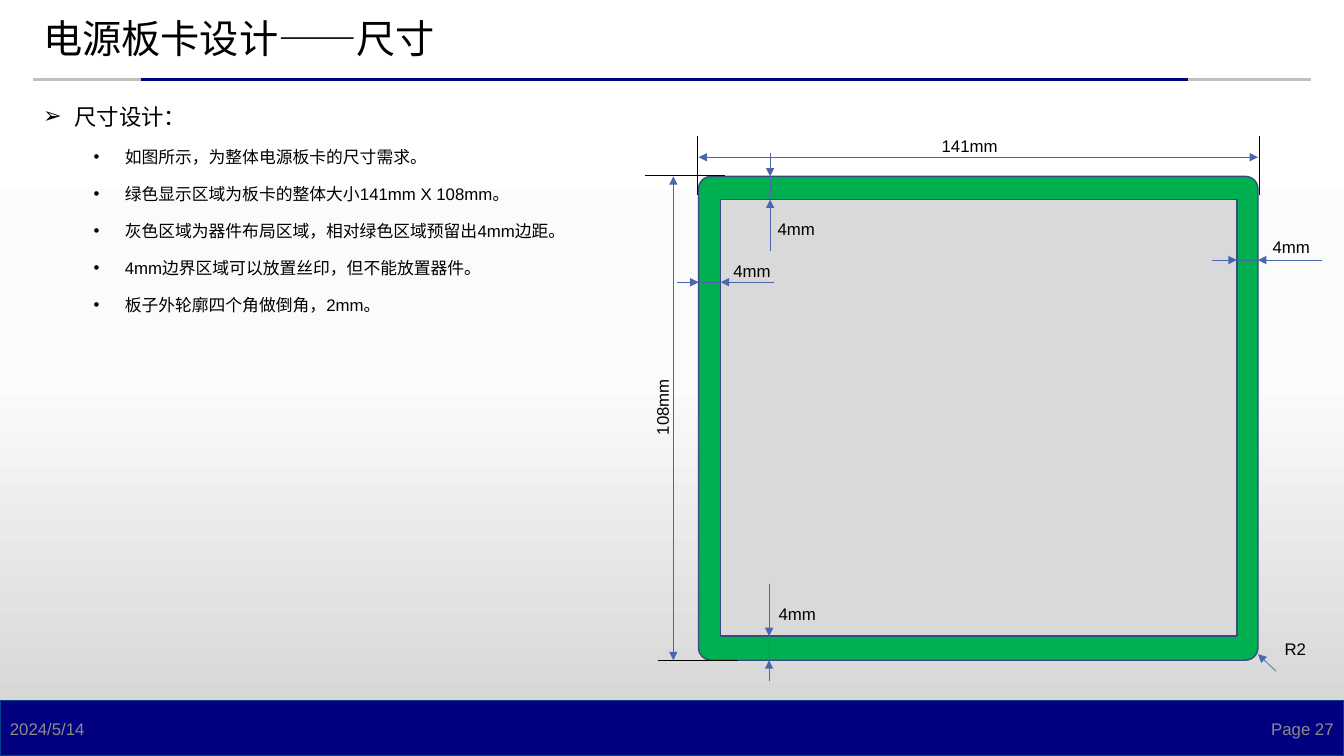
"""Build the power board dimension slide."""
from copy import deepcopy

from lxml import etree
from pptx import Presentation
from pptx.dml.color import RGBColor
from pptx.enum.shapes import MSO_CONNECTOR, MSO_SHAPE
from pptx.enum.text import MSO_ANCHOR, PP_ALIGN
from pptx.oxml.ns import qn
from pptx.util import Inches, Pt

STRAIGHT = MSO_CONNECTOR.STRAIGHT
RECTANGLE, ROUNDED = MSO_SHAPE.RECTANGLE, MSO_SHAPE.ROUNDED_RECTANGLE
LEFT, CENTER, RIGHT = PP_ALIGN.LEFT, PP_ALIGN.CENTER, PP_ALIGN.RIGHT
TOP, MIDDLE = MSO_ANCHOR.TOP, MSO_ANCHOR.MIDDLE

BLACK = RGBColor(0x00, 0x00, 0x00)
NAVY = RGBColor(0x00, 0x00, 0x80)
BAR_EDGE = RGBColor(0x00, 0x43, 0x86)
RULE_GREY = RGBColor(0xBF, 0xBF, 0xBF)
FOOTER_GREY = RGBColor(0x8C, 0x8C, 0x8C)
BOARD_GREEN = RGBColor(0x00, 0xB0, 0x50)
AREA_GREY = RGBColor(0xD9, 0xD9, 0xD9)
OUTLINE = RGBColor(0x37, 0x4B, 0x7F)
DIMENSION_BLUE = RGBColor(0x4A, 0x66, 0xAC)
BACKDROP = (RGBColor(0xFF, 0xFF, 0xFF), RGBColor(0xFB, 0xFB, 0xFB),
            RGBColor(0xD1, 0xD1, 0xD1))

FONT = "Arial"
COLUMNS, ROWS = 133.33, 75
BOARD_LEFT, BOARD_TOP, BOARD_RIGHT, BOARD_BOTTOM = 69.3, 17.5, 124.8, 65.5
AREA_LEFT, AREA_TOP, AREA_RIGHT, AREA_BOTTOM = 71.5, 19.8, 122.7, 63.1

REQUIREMENTS = (
    "如图所示，为整体电源板卡的尺寸需求。",
    "绿色显示区域为板卡的整体大小141mm X 108mm。",
    "灰色区域为器件布局区域，相对绿色区域预留出4mm边距。",
    "4mm边界区域可以放置丝印，但不能放置器件。",
    "板子外轮廓四个角做倒角，2mm。",
)


def grid(*cells):
    """Turn counts of 0.1 inch grid cells into lengths."""
    return [Inches(cell / 10) for cell in cells]


def paint_backdrop(slide):
    """Fill the background with a three-stop vertical gradient."""
    fill = slide.background.fill
    fill.gradient()
    fill.gradient_angle = 270
    stop_list = slide.element.find(".//" + qn("a:gsLst"))
    stop_list.insert(1, deepcopy(stop_list[0]))
    for index, (stop, color) in enumerate(zip(fill.gradient_stops, BACKDROP)):
        stop.position = index / 2
        stop.color.rgb = color


def add_run(paragraph, text, size, color=BLACK):
    """Append one formatted run."""
    run = paragraph.add_run()
    run.text = text
    run.font.size = Pt(size)
    run.font.name = FONT
    run.font.color.rgb = color


def add_panel(slide, kind, left, top, right, bottom, fill, edge):
    """Draw a filled panel between its four edges."""
    panel = slide.shapes.add_shape(kind, *grid(left, top, right - left, bottom - top))
    panel.shadow.inherit = False
    panel.fill.solid()
    panel.fill.fore_color.rgb = fill
    panel.line.color.rgb = edge
    panel.line.width = Pt(1)
    return panel


def add_line(slide, start, end, color=DIMENSION_BLUE, width=0.5, arrows=()):
    """Draw a straight line with triangles at the ends named in arrows."""
    line = slide.shapes.add_connector(STRAIGHT, *grid(*start, *end))
    line.line.color.rgb = color
    line.line.width = Pt(width)
    stroke = line.line._get_or_add_ln()
    for arrow in arrows:
        etree.SubElement(stroke, qn(f"a:{arrow}End"), type="triangle")
    etree.SubElement(line.element.spPr, qn("a:effectLst"))


def add_text_box(slide, left, top, width, height, anchor=TOP):
    """Add an empty wrapping text box."""
    box = slide.shapes.add_textbox(*grid(left, top, width, height))
    box.text_frame.word_wrap = True
    box.text_frame.vertical_anchor = anchor
    return box


def add_label(slide, text, left, top, rotation=0):
    """Add a centred dimension label."""
    label = add_text_box(slide, left, top, 11.6, 3)
    label.rotation = rotation
    paragraph = label.text_frame.paragraphs[0]
    paragraph.alignment = CENTER
    add_run(paragraph, text, 12)


def add_footer(slide, text, left, alignment):
    """Add one footer text over the navy bar."""
    footer = add_text_box(slide, left, 70.3, 30, 4, MIDDLE)
    paragraph = footer.text_frame.paragraphs[0]
    paragraph.alignment = alignment
    add_run(paragraph, text, 12, FOOTER_GREY)


def add_bullet(paragraph, text, symbol, size, margin, level):
    """Format a paragraph as a hanging bullet and write its text."""
    paragraph.level = level
    paragraph.space_after = Pt(6)
    properties = paragraph._p.get_or_add_pPr()
    properties.set("marL", str(Inches(margin)))
    properties.set("indent", str(-Inches(0.31)))
    etree.SubElement(properties, qn("a:buFont"), typeface=FONT)
    etree.SubElement(properties, qn("a:buChar"), char=symbol)
    add_run(paragraph, text, size)


def add_margin_dimension(slide, outer, inner, cross, outer_start, inner_start,
                         vertical=False):
    """Mark a board margin with two facing arrows across its edges."""
    def point(along):
        """Place a distance along the measured direction."""
        return (cross, along) if vertical else (along, cross)

    add_line(slide, point(outer), point(inner))
    add_line(slide, point(outer_start), point(outer), arrows=("tail",))
    add_line(slide, point(inner_start), point(inner), arrows=("tail",))


def write_title(slide):
    """Place and format the title above its two-tone rule."""
    title = slide.shapes.title
    title.left, title.top, title.width, title.height = grid(3.3, 1, 126.8, 6.1)
    title.text_frame.vertical_anchor = MIDDLE
    paragraph = title.text_frame.paragraphs[0]
    paragraph.alignment = LEFT
    paragraph.line_spacing = 0.9
    add_run(paragraph, "电源板卡设计——尺寸", 28)
    add_line(slide, (3.3, 7.9), (130.1, 7.9), RULE_GREY, 2.25)
    add_line(slide, (14, 7.9), (117.9, 7.9), NAVY, 2.25)


def write_requirements(slide):
    """List the size requirements."""
    frame = add_text_box(slide, 3.3, 9.7, 61, 22.2).text_frame
    add_bullet(frame.paragraphs[0], "尺寸设计：", "➢", 16, 0.31, 0)
    for requirement in REQUIREMENTS:
        paragraph = frame.add_paragraph()
        paragraph.space_before = Pt(6)
        add_bullet(paragraph, requirement, "•", 12, 0.81, 1)


def draw_board(slide):
    """Draw the board with its component area and overall dimensions."""
    board = add_panel(slide, ROUNDED, BOARD_LEFT, BOARD_TOP, BOARD_RIGHT,
                      BOARD_BOTTOM, BOARD_GREEN, OUTLINE)
    board.adjustments[0] = 0.026
    for left, y in ((64, 17.4), (65.3, BOARD_BOTTOM)):
        add_line(slide, (left, y), (left + 7.9, y), BLACK)
    for x in (69.2, 124.9):
        add_line(slide, (x, 19.3), (x, 13.5), BLACK)
    both_ends = ("head", "tail")
    add_line(slide, (BOARD_LEFT, 15.6), (BOARD_RIGHT, 15.6), arrows=both_ends)
    add_line(slide, (66.8, BOARD_BOTTOM), (66.8, BOARD_TOP), arrows=both_ends)
    add_line(slide, (126.6, 66.6), (BOARD_RIGHT, 64.9), arrows=("tail",))
    add_panel(slide, RECTANGLE, AREA_LEFT, AREA_TOP, AREA_RIGHT, AREA_BOTTOM,
              AREA_GREY, OUTLINE)


def draw_dimensions(slide):
    """Mark the four margins and label every dimension."""
    add_margin_dimension(slide, BOARD_RIGHT, AREA_RIGHT, 25.8, 131.2, 120.2)
    add_margin_dimension(slide, BOARD_LEFT, AREA_LEFT, 28, 67.2, 76.8)
    add_margin_dimension(slide, BOARD_TOP, AREA_TOP, 76.4, 15.2, 24.9, True)
    add_margin_dimension(slide, BOARD_BOTTOM, AREA_BOTTOM, 76.3, 67.6, 57.9, True)
    add_label(slide, "141mm", 90.4, 13)
    add_label(slide, "108mm", 59.9, 38.9, 270)
    for left, top in ((122.3, 23), (68.8, 25.4), (73.2, 21.2), (73.3, 59.4)):
        add_label(slide, "4mm", left, top)
    add_label(slide, "R2", 122.7, 62.9)


def main():
    """Assemble and save the slide."""
    deck = Presentation()
    deck.slide_width, deck.slide_height = grid(COLUMNS, ROWS)
    slide = deck.slides.add_slide(deck.slide_layouts[5])
    paint_backdrop(slide)
    add_panel(slide, RECTANGLE, 0, 69.5, COLUMNS, ROWS, NAVY, BAR_EDGE)
    write_title(slide)
    add_footer(slide, "2024/5/14", 0, LEFT)
    add_footer(slide, "Page 27", 103.3, RIGHT)
    write_requirements(slide)
    draw_board(slide)
    draw_dimensions(slide)
    deck.save("out.pptx")


if __name__ == "__main__":
    main()
